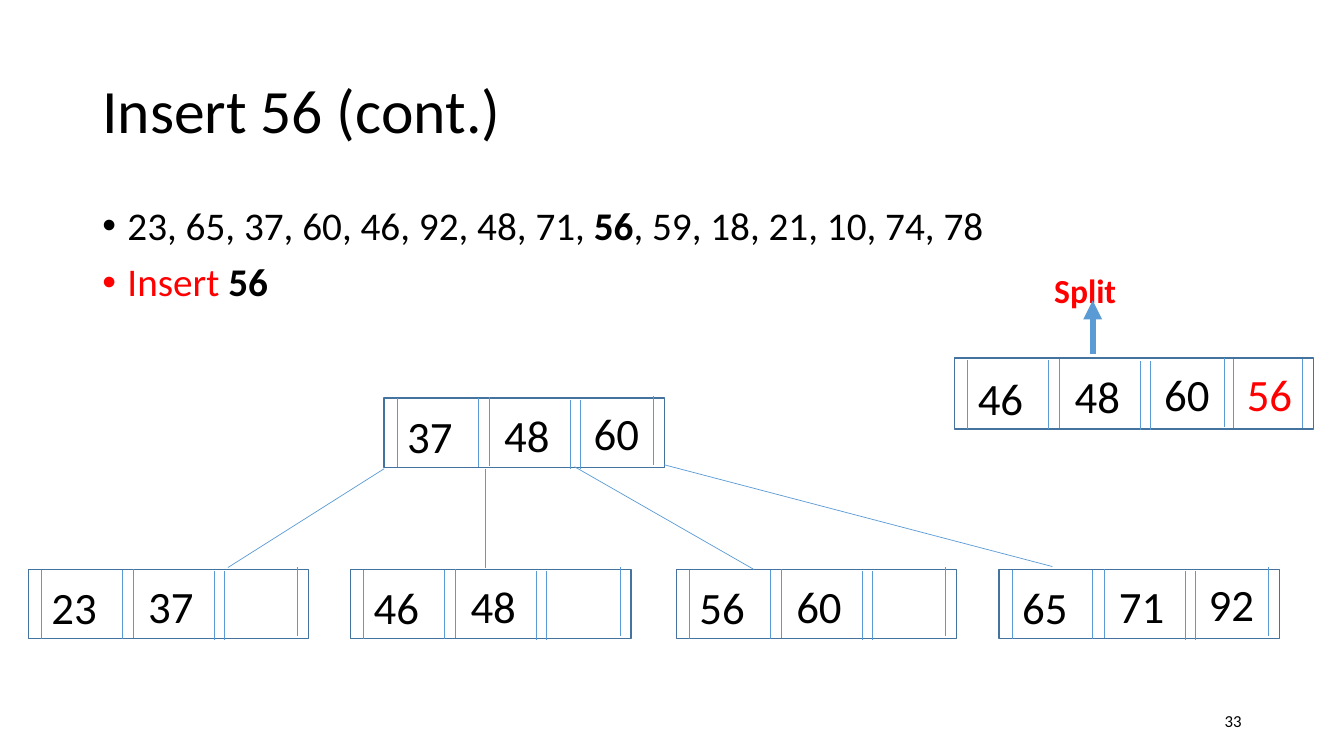
from lxml import etree
from pptx import Presentation
from pptx.dml.color import RGBColor
from pptx.enum.shapes import MSO_CONNECTOR, MSO_SHAPE
from pptx.enum.text import MSO_ANCHOR, PP_ALIGN
from pptx.oxml.ns import qn
from pptx.util import Pt

STRAIGHT = MSO_CONNECTOR.STRAIGHT
RECTANGLE = MSO_SHAPE.RECTANGLE
TOP, MIDDLE = MSO_ANCHOR.TOP, MSO_ANCHOR.MIDDLE
LEFT, RIGHT = PP_ALIGN.LEFT, PP_ALIGN.RIGHT

COLORS = {"ink": "000000", "accent": "FF0000", "border": "43739E", "link": "5B9BD5"}

# Offsets inside a node: divider (x, y) and key (x, y)
DIVIDERS = [(9.4, 0), (67, 0), (75, -0.5), (133, 1), (140, 1), (192.4, -1.5)]
OVERFLOW_DIVIDERS = [(198.9, -0.5), (248.6, -0.5)]
KEY_SLOTS = [(9.4, 4), (78.6, 3), (142.6, 1.6), (201.6, 1.6)]
DIVIDER_HEIGHT = 49.3
KEY_SIZE = (57.4, 46)


class TreeSlide:
    font = "Calibri"

    def __init__(self, slide):
        self.slide = slide

    def color(self, name):
        return RGBColor.from_string(COLORS[name])

    def format_run(self, run, size, color, bold=False):
        run.font.name = self.font
        run.font.size = Pt(size)
        run.font.bold = bold
        run.font.color.rgb = self.color(color)

    def frame(self, left, top, width, height, anchor=TOP):
        box = self.slide.shapes.add_textbox(Pt(left), Pt(top), Pt(width), Pt(height))
        box.text_frame.word_wrap = True
        box.text_frame.vertical_anchor = anchor
        return box.text_frame

    def label(self, text, place, size, color="ink", bold=False,
              anchor=TOP, align=LEFT, spacing=1.0):
        frame = self.frame(*place, anchor)
        frame.text = text
        paragraph = frame.paragraphs[0]
        paragraph.alignment = align
        paragraph.line_spacing = spacing
        self.format_run(paragraph.runs[0], size, color, bold)

    def bullets(self, items, place, size):
        frame = self.frame(*place)
        for index, item in enumerate(items):
            paragraph = frame.add_paragraph() if index else frame.paragraphs[0]
            paragraph.line_spacing = 0.9
            paragraph.space_before = Pt(10)
            for text, color, bold in item:
                run = paragraph.add_run()
                run.text = text
                self.format_run(run, size, color, bold)
            properties = paragraph._p.get_or_add_pPr()
            properties.set("marL", str(Pt(18)))
            properties.set("indent", str(Pt(-18)))
            etree.SubElement(properties, qn("a:buFont"), typeface="Arial")
            etree.SubElement(properties, qn("a:buChar"), char="•")

    def line(self, start, end, weight=0.5, arrow=False):
        points = [Pt(value) for value in (*start, *end)]
        connector = self.slide.shapes.add_connector(STRAIGHT, *points)
        connector.line.color.rgb = self.color("link")
        connector.line.width = Pt(weight)
        if arrow:
            etree.SubElement(connector.line._get_or_add_ln(), qn("a:tailEnd"), type="triangle")
        etree.SubElement(connector._element.spPr, qn("a:effectLst"))

    def box(self, left, top, width, height):
        shape = self.slide.shapes.add_shape(RECTANGLE, Pt(left), Pt(top), Pt(width), Pt(height))
        shape.shadow.inherit = False
        shape.fill.background()
        shape.line.color.rgb = self.color("border")
        shape.line.width = Pt(1)

    def node(self, left, top, keys, new_key=None):
        dividers = DIVIDERS
        if new_key in keys:
            # An overfull node has a fourth slot and a slightly taller box
            dividers = DIVIDERS + OVERFLOW_DIVIDERS
            self.box(left, top - 1.4, 256.3, 51)
        else:
            self.box(left, top, 200.2, 49.4)
        for dx, dy in dividers:
            x, y = left + dx, top + dy
            self.line((x, y), (x, y + DIVIDER_HEIGHT))
        for key, (dx, dy) in zip(keys, KEY_SLOTS):
            color = "accent" if key == new_key else "ink"
            self.label(key, (left + dx, top + dy, *KEY_SIZE), 32, color)


def main():
    deck = Presentation()
    deck.slide_width, deck.slide_height = Pt(960), Pt(540)
    tree = TreeSlide(deck.slides.add_slide(deck.slide_layouts[6]))

    # Title, insertion order and slide number
    tree.label("Insert 56 (cont.)", (66, 28.8, 828, 104.4), 44, anchor=MIDDLE, spacing=0.9)
    insertion_order = [
        ("23, 65, 37, 60, 46, 92, 48, 71, ", "ink", False),
        ("56", "ink", True),
        (", 59, 18, 21, 10, 74, 78", "ink", False),
    ]
    current_step = [("Insert ", "accent", False), ("56", "ink", True)]
    tree.bullets([insertion_order, current_step], (66, 144, 828, 88), 28)
    tree.label("33", (678, 500.4, 216, 28.8), 12, anchor=MIDDLE, align=RIGHT)

    # Root and leaves
    tree.node(274.4, 284.4, ["37", "48", "60"])
    leaves = [
        (20.2, ["23", "37"]),
        (250.4, ["46", "48"]),
        (483.1, ["56", "60"]),
        (713.6, ["65", "71", "92"]),
    ]
    for left, keys in leaves:
        tree.node(left, 406.8, keys)

    # Links from the root to the leaves
    links = [
        ((274.4, 334.8), (162.8, 405.4)),
        ((346.4, 334.8), (346.4, 405.4)),
        ((410.4, 333.4), (538.6, 406.8)),
        ((474.5, 332), (751.7, 404.7)),
    ]
    for start, end in links:
        tree.line(start, end)

    # Overfull leaf that splits
    tree.node(681.9, 257, ["46", "48", "60", "56"], new_key="56")
    tree.label("Split", (745.9, 189.4, 69.1, 36), 24, "accent", bold=True)
    tree.line((780.5, 252.7), (780.5, 214.6), weight=4.5, arrow=True)

    deck.save("out.pptx")


if __name__ == "__main__":
    main()
